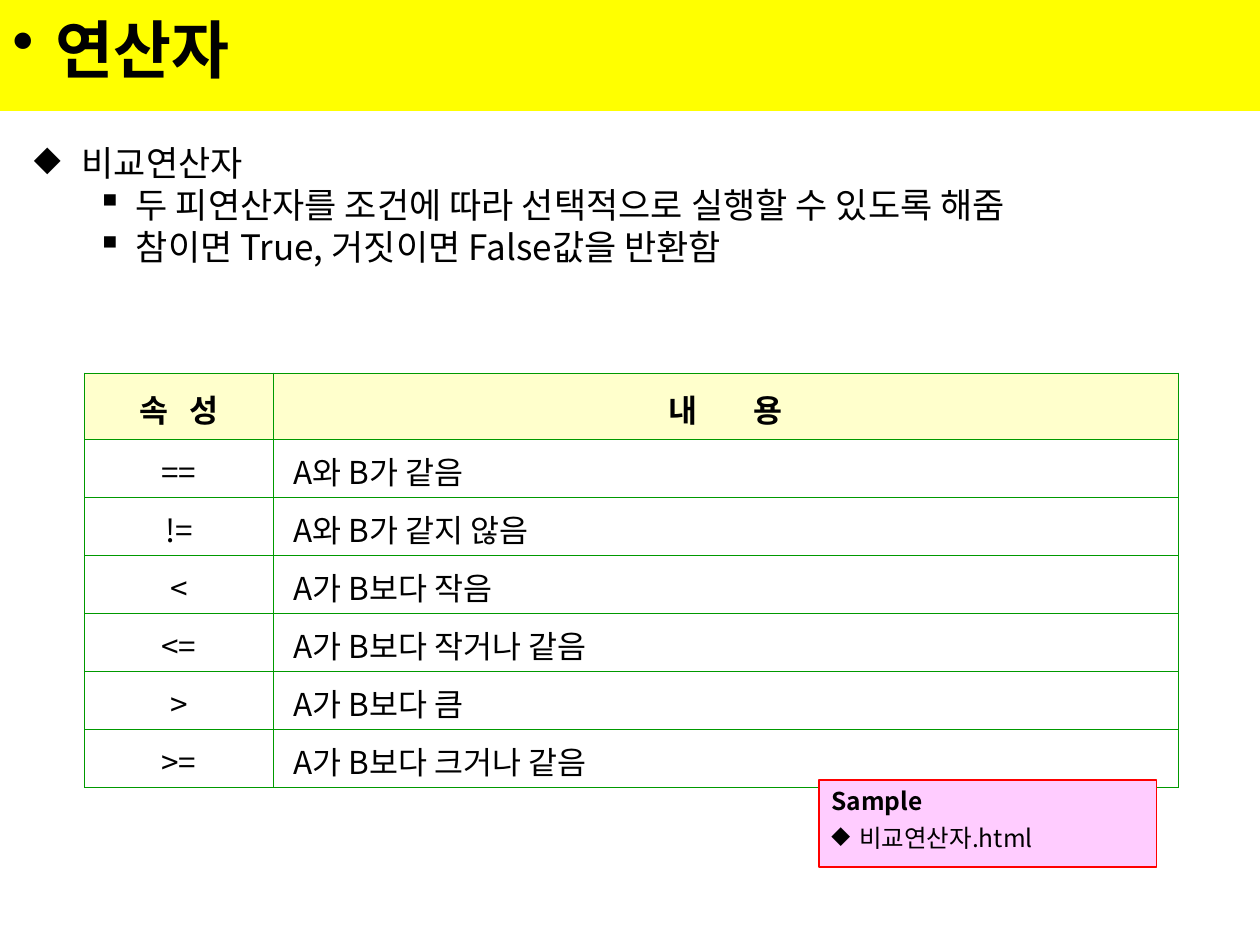
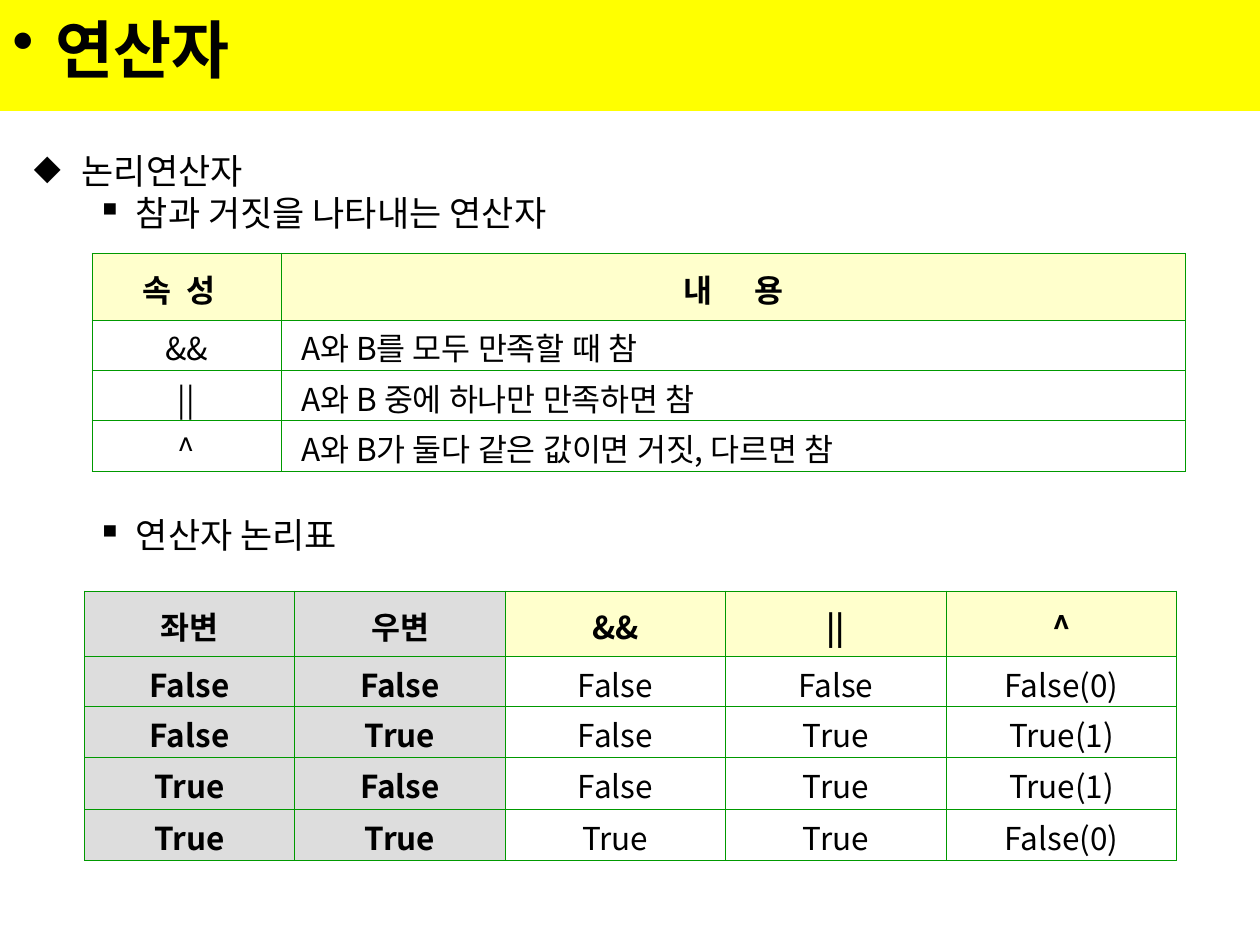
from dataclasses import dataclass

from lxml import etree
from pptx import Presentation
from pptx.dml.color import RGBColor
from pptx.enum.shapes import MSO_SHAPE
from pptx.enum.text import MSO_ANCHOR, PP_ALIGN
from pptx.oxml.ns import qn
from pptx.util import Inches, Pt

RECTANGLE = MSO_SHAPE.RECTANGLE
MIDDLE, TOP = MSO_ANCHOR.MIDDLE, MSO_ANCHOR.TOP
LEFT, CENTER = PP_ALIGN.LEFT, PP_ALIGN.CENTER

FONT = "Noto Sans CJK KR"
COLORS = {
    "text": "000000",
    "band": "FFFF00",
    "header": "FFFFCC",
    "operand": "DDDDDD",
    "grid": "009900",
    "sample": "FFCCFF",
    "sample_line": "FF0000",
}
TITLE = "연산자"


@dataclass(frozen=True)
class Item:
    text: str
    level: int = 1
    space_before: float = 0


@dataclass(frozen=True)
class Bullet:
    mark: str
    margin: float
    hanging: float


@dataclass(frozen=True)
class Grid:
    left: float
    top: float
    columns: list[float]
    heights: list[float]
    rows: list[list[str]]
    header_gap: float = 0
    operand_columns: int = 0
    left_aligned_column: int = -1


ITEM_BULLETS = [Bullet("◆", 0.38, 0.38), Bullet("▪", 0.81, 0.31)]
TITLE_BULLET = Bullet("•", 0.34, 0.34)
SAMPLE_BULLET = Bullet("◆", 0.22, 0.22)

COMPARISON_ITEMS = [
    Item("비교연산자", level=0),
    Item("두 피연산자를 조건에 따라 선택적으로 실행할 수 있도록 해줌"),
    Item("참이면 True, 거짓이면 False값을 반환함"),
]
COMPARISON_GRID = Grid(
    0.67, 2.96, [1.5, 7.18], [0.53] + [0.46] * 6,
    [
        ["속 성", "내 용"],
        ["==", "A와 B가 같음"],
        ["!=", "A와 B가 같지 않음"],
        ["<", "A가 B보다 작음"],
        ["<=", "A가 B보다 작거나 같음"],
        [">", "A가 B보다 큼"],
        [">=", "A가 B보다 크거나 같음"],
    ],
    header_gap=4, left_aligned_column=1,
)

LOGIC_ITEMS = [
    Item("논리연산자", level=0),
    Item("참과 거짓을 나타내는 연산자"),
    Item("연산자 논리표", space_before=160),
]
LOGIC_GRID = Grid(
    0.73, 2.01, [1.5, 7.18], [0.53] + [0.4] * 3,
    [
        ["속 성", "내 용"],
        ["&&", "A와 B를 모두 만족할 때 참"],
        ["||", "A와 B 중에 하나만 만족하면 참"],
        ["^", "A와 B가 둘다 같은 값이면 거짓, 다르면 참"],
    ],
    header_gap=3, left_aligned_column=1,
)
TRUTH_GRID = Grid(
    0.67, 4.69, [1.67, 1.67, 1.75, 1.75, 1.83], [0.52, 0.4, 0.4, 0.41, 0.41],
    [
        ["좌변", "우변", "&&", "||", "^"],
        ["False", "False", "False", "False", "False(0)"],
        ["False", "True", "False", "True", "True(1)"],
        ["True", "False", "False", "True", "True(1)"],
        ["True", "True", "True", "True", "False(0)"],
    ],
    operand_columns=2,
)


def color(name: str) -> RGBColor:
    return RGBColor.from_string(COLORS[name])


def format_runs(paragraph, size: float, bold: bool = False) -> None:
    for span in paragraph.runs:
        span.font.size = Pt(size)
        span.font.bold = bold
        span.font.name = FONT
        span.font.color.rgb = color("text")
        east_asian = etree.SubElement(span._r.get_or_add_rPr(), qn("a:ea"))
        east_asian.set("typeface", FONT)


def add_bullet(paragraph, bullet: Bullet) -> None:
    properties = paragraph._p.get_or_add_pPr()
    properties.set("marL", str(Inches(bullet.margin)))
    properties.set("indent", str(-Inches(bullet.hanging)))
    mark_color = etree.SubElement(properties, qn("a:buClr"))
    etree.SubElement(mark_color, qn("a:srgbClr")).set("val", COLORS["text"])
    etree.SubElement(properties, qn("a:buChar")).set("char", bullet.mark)


def add_box(slide, left: float, top: float, width: float, height: float, fill: str):
    box = slide.shapes.add_shape(
        RECTANGLE, Inches(left), Inches(top), Inches(width), Inches(height))
    box.shadow.inherit = False
    box.fill.solid()
    box.fill.fore_color.rgb = color(fill)
    box.line.fill.background()
    box.text_frame.word_wrap = True
    return box


def add_title(slide) -> None:
    box = add_box(slide, 0, -0.11, 10, 0.99, "band")
    box.text_frame.vertical_anchor = MIDDLE
    box.text_frame.text = TITLE
    para = box.text_frame.paragraphs[0]
    para.alignment = LEFT
    add_bullet(para, TITLE_BULLET)
    format_runs(para, 36, bold=True)


def add_items(slide, top: float, height: float, items: list[Item]) -> None:
    box = slide.shapes.add_textbox(
        Inches(0.17), Inches(top), Inches(9.67), Inches(height))
    frame = box.text_frame
    frame.word_wrap = True
    frame.text = "\n".join(item.text for item in items)
    for para, item in zip(frame.paragraphs, items):
        para.level = item.level
        add_bullet(para, ITEM_BULLETS[item.level])
        para.space_before = Pt(item.space_before)
        format_runs(para, 20)


def add_borders(cell) -> None:
    properties = cell._tc.get_or_add_tcPr()
    for side in ("lnL", "lnR", "lnT", "lnB"):
        line = etree.SubElement(properties, qn(f"a:{side}"), w=str(Pt(0.45)))
        fill = etree.SubElement(line, qn("a:solidFill"))
        etree.SubElement(fill, qn("a:srgbClr")).set("val", COLORS["grid"])


def fill_header(paragraph, text: str, gap: float) -> None:
    """Write the words with each space widened by gap points."""
    for position, word in enumerate(text.split()):
        if position:
            space = paragraph.add_run()
            space.text = " "
            space._r.get_or_add_rPr().set("spc", str(round(gap * 100)))
        paragraph.add_run().text = word


def add_grid(slide, grid: Grid):
    frame = slide.shapes.add_table(
        len(grid.rows), len(grid.columns), Inches(grid.left), Inches(grid.top),
        Inches(sum(grid.columns)), Inches(sum(grid.heights)))
    table = frame.table
    table.first_row = table.horz_banding = False
    for column, width in zip(table.columns, grid.columns):
        column.width = Inches(width)
    for row, height in zip(table.rows, grid.heights):
        row.height = Inches(height)
    for row_index, texts in enumerate(grid.rows):
        for column_index, text in enumerate(texts):
            cell = table.cell(row_index, column_index)
            is_header = row_index == 0
            is_operand = column_index < grid.operand_columns
            is_left = column_index == grid.left_aligned_column and not is_header
            add_borders(cell)
            if is_header or is_operand:
                cell.fill.solid()
                cell.fill.fore_color.rgb = color("operand" if is_operand else "header")
            else:
                cell.fill.background()
            cell.vertical_anchor = MIDDLE
            cell.margin_left = Inches(0.16 if is_left else 0.1)
            cell.margin_right = Inches(0.1)
            cell.margin_top, cell.margin_bottom = Inches(0.03), Inches(0)
            para = cell.text_frame.paragraphs[0]
            if is_header:
                # The second heading is spread wider than the first.
                spread = 2 if grid.header_gap == 4 else 1
                gap = grid.header_gap * (1 + 5 * column_index)
                fill_header(para, text, gap + spread * 2)
            else:
                para.text = text
            para.alignment = LEFT if is_left else CENTER
            format_runs(para, 18, bold=is_header or is_operand)
    return table


def add_sample(slide, file_name: str) -> None:
    box = add_box(slide, 6.5, 6.19, 2.68, 0.69, "sample")
    box.line.color.rgb = color("sample_line")
    box.line.width = Pt(0.75)
    frame = box.text_frame
    frame.vertical_anchor = TOP
    frame.text = f"Sample\n{file_name}"
    heading, entry = frame.paragraphs
    heading.alignment = entry.alignment = LEFT
    add_bullet(entry, SAMPLE_BULLET)
    entry.space_before = Pt(4)
    format_runs(heading, 14, bold=True)
    format_runs(entry, 14)


def build_comparison(slide) -> None:
    add_items(slide, 1.07, 6.06, COMPARISON_ITEMS)
    add_grid(slide, COMPARISON_GRID)
    add_sample(slide, "비교연산자.html")


def build_logic(slide) -> None:
    add_items(slide, 1.14, 5.92, LOGIC_ITEMS)
    table = add_grid(slide, LOGIC_GRID)
    table.cell(0, 0).margin_right = Inches(0.22)
    add_grid(slide, TRUTH_GRID)


def main() -> None:
    deck = Presentation()
    deck.slide_width, deck.slide_height = Inches(10), Inches(7.5)
    for build in (build_comparison, build_logic):
        page = deck.slides.add_slide(deck.slide_layouts[6])
        build(page)
        add_title(page)
    deck.save("out.pptx")


if __name__ == "__main__":
    main()
